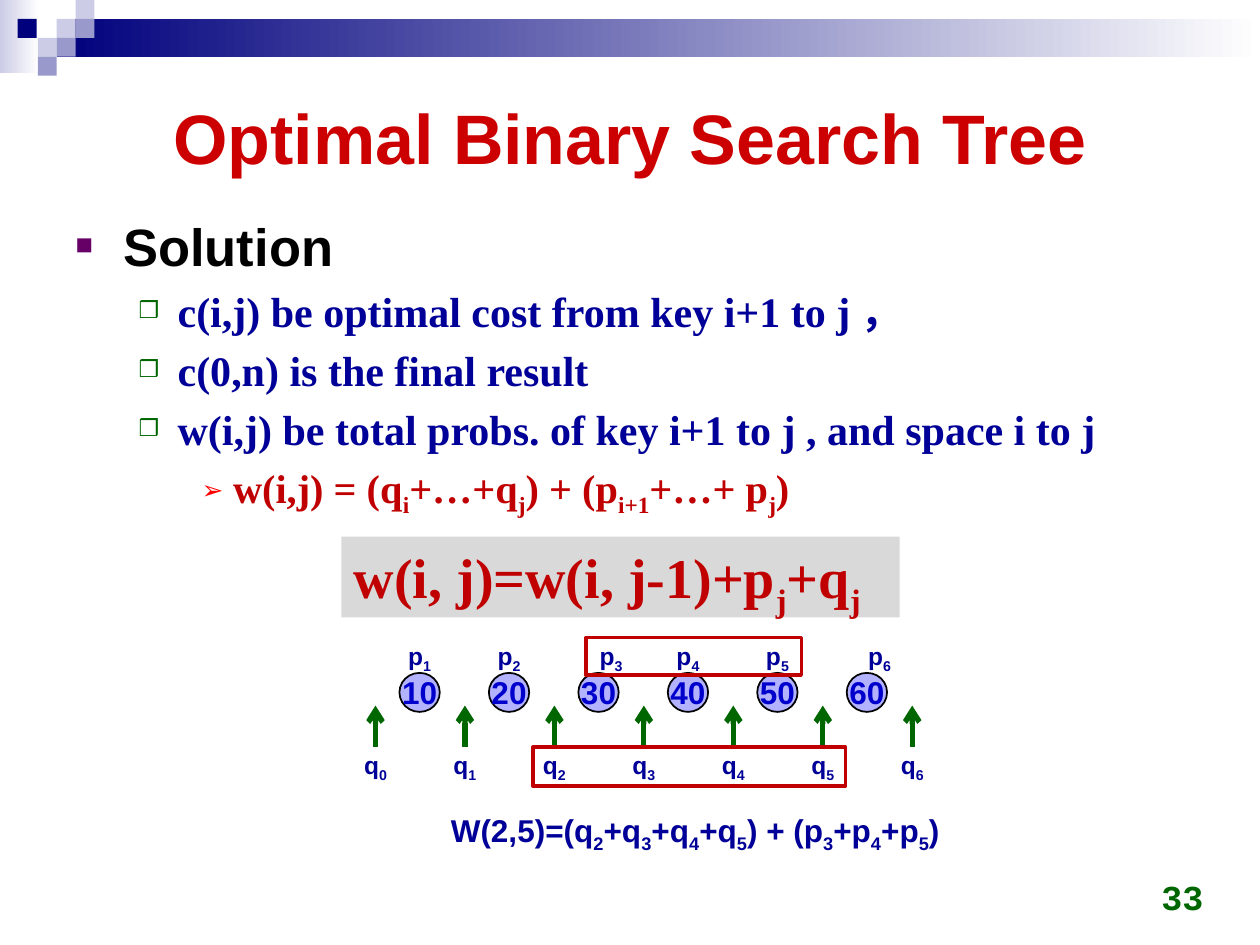
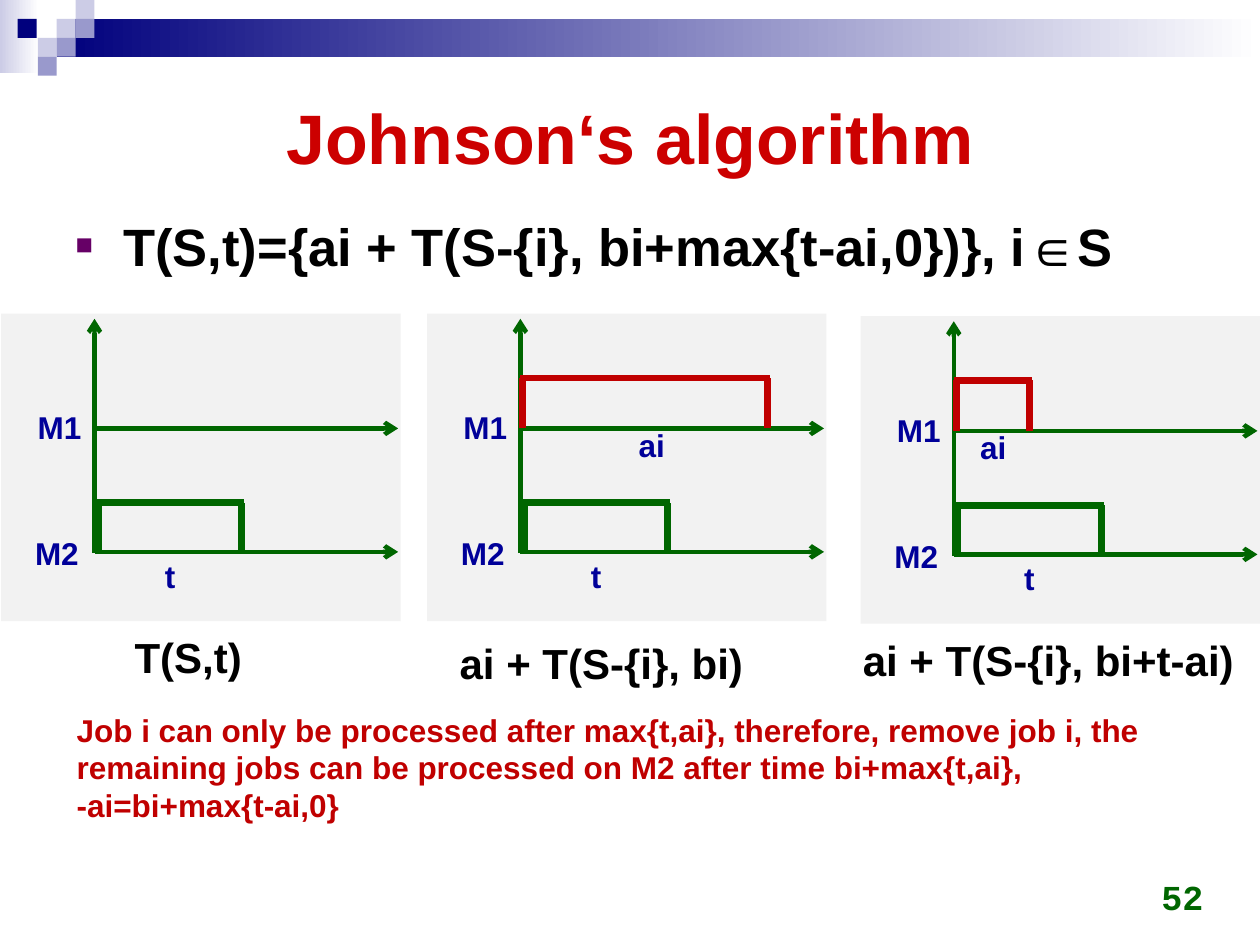
import itertools
from dataclasses import dataclass
from typing import Any

import lxml.etree
import pptx
import pptx.dml.color
import pptx.enum.shapes
import pptx.enum.text
import pptx.oxml.ns
import pptx.util

# Grid: 100 columns by 75 rows; every position and length below is in cells
WIDTH, HEIGHT = pptx.util.Inches(10), pptx.util.Inches(7.5)
COL, ROW = WIDTH / 100, HEIGHT / 75

COLORS = {
    "title": "CC0000", "accent": "C00000", "label": "000099", "text": "000000",
    "green": "006600", "navy": "00007D", "mid": "9999CC", "pale": "CCCCE6",
    "white": "FFFFFF", "node": "B2B2FF", "key": "0000CC", "purple": "660066",
    "red": "FF0000", "formula": "D9D9D9", "panel": "F2F2F2",
}
ALIGN = pptx.enum.text.PP_ALIGN
ANCHOR = pptx.enum.text.MSO_ANCHOR
SHAPE = pptx.enum.shapes.MSO_SHAPE
qn = pptx.oxml.ns.qn


@dataclass(frozen=True)
class Box:
    x: float
    y: float
    w: float
    h: float

    def emu(self) -> tuple[int, ...]:
        return (round(self.x * COL), round(self.y * ROW),
                round(self.w * COL), round(self.h * ROW))


@dataclass(frozen=True)
class TextStyle:
    size: float
    color: str
    name: str = "Arial"
    align: Any = ALIGN.LEFT


@dataclass(frozen=True)
class ListLevel:
    style: TextStyle
    margin: float
    hanging: float
    bullet: str
    bullet_color: str
    bullet_size: int


@dataclass(frozen=True)
class Panel:
    x: float
    y: float
    caption: str
    caption_x: float
    caption_y: float
    job_end: float = 0
    job_label_x: float = 0


TITLE = TextStyle(40, "title", align=ALIGN.CENTER)
PAGE = TextStyle(20, "green", "Courier New", ALIGN.RIGHT)
KEY = TextStyle(18, "key", align=ALIGN.CENTER)
WEIGHT = TextStyle(14, "label", align=ALIGN.CENTER)
LABEL = TextStyle(18, "label")
NOTE = TextStyle(18, "accent")
CAPTION = TextStyle(24, "text")
FORMULA = TextStyle(32, "accent", "Times New Roman")
LEVELS = [
    ListLevel(TextStyle(30, "text"), 3.8, 3.8, "■", "purple", 55),
    ListLevel(TextStyle(24, "label", "Times New Roman"), 8.1, 3.1, "❒", "green", 55),
    ListLevel(TextStyle(23, "accent", "Times New Roman"), 12.5, 2.5, "➢", "red", 65),
]
BAND_SQUARES = [
    (4.5, 1.5, "pale"), (6, 0, "pale"), (6, 1.5, "mid"), (3, 3, "pale"),
    (1.4, 1.5, "navy"), (4.5, 3, "mid"), (3, 4.5, "mid"),
]


def rgb(name: str) -> pptx.dml.color.RGBColor:
    return pptx.dml.color.RGBColor.from_string(COLORS[name])


def write(p: Any, text: str, style: TextStyle) -> None:
    """Fill a paragraph; parts between ~ marks are subscripts."""
    for i, part in enumerate(text.split("~")):
        r = p.add_run()
        r.text = part
        if i % 2:
            r._r.get_or_add_rPr().set("baseline", "-25000")
    p.alignment = style.align
    p.font.name = style.name
    p.font.size = pptx.util.Pt(style.size)
    p.font.bold = True
    p.font.color.rgb = rgb(style.color)


def add_shape(shapes: Any, box: Box, fill: str | None = None, line: str | None = None,
              weight: float = 1, kind: Any = SHAPE.RECTANGLE) -> Any:
    sp = shapes.add_shape(kind, *box.emu())
    sp.shadow.inherit = False
    if fill:
        sp.fill.solid()
        sp.fill.fore_color.rgb = rgb(fill)
    else:
        sp.fill.background()
    if line:
        sp.line.color.rgb = rgb(line)
        sp.line.width = pptx.util.Pt(weight)
    else:
        sp.line.fill.background()
    return sp


def add_gradient(shapes: Any, box: Box, start: str) -> None:
    sp = add_shape(shapes, box)
    sp.fill.gradient()
    sp.fill.gradient_angle = 0
    for stop, position, color in zip(sp.fill.gradient_stops, (0, 1), (start, "white")):
        stop.position = position
        stop.color.rgb = rgb(color)


def add_text(shapes: Any, box: Box, text: str, style: TextStyle, wrap: bool = False) -> Any:
    sp = shapes.add_textbox(*box.emu())
    tf = sp.text_frame
    tf.word_wrap = wrap
    tf.auto_size = pptx.enum.text.MSO_AUTO_SIZE.SHAPE_TO_FIT_TEXT
    write(tf.paragraphs[0], text, style)
    return sp


def add_line(shapes: Any, x1: float, y1: float, x2: float, y2: float,
             color: str, weight: float, arrow: bool = False) -> None:
    c = shapes.add_connector(
        pptx.enum.shapes.MSO_CONNECTOR.STRAIGHT,
        round(x1 * COL), round(y1 * ROW), round(x2 * COL), round(y2 * ROW))
    c.line.color.rgb = rgb(color)
    c.line.width = pptx.util.Pt(weight)
    sp_pr = c._element.spPr
    if arrow:
        lxml.etree.SubElement(sp_pr.find(qn("a:ln")), qn("a:tailEnd"), type="arrow")
    lxml.etree.SubElement(sp_pr, qn("a:effectLst"))


def add_item(p: Any, level: int, text: str) -> None:
    look = LEVELS[level]
    p.level = level
    p.line_spacing = 1.05
    p_pr = p._p.get_or_add_pPr()
    p_pr.set("marL", str(round(look.margin * COL)))
    p_pr.set("indent", str(round(-look.hanging * COL)))
    before = lxml.etree.SubElement(p_pr, qn("a:spcBef"))
    lxml.etree.SubElement(before, qn("a:spcPct"), val="15000")
    color = lxml.etree.SubElement(p_pr, qn("a:buClr"))
    lxml.etree.SubElement(color, qn("a:srgbClr"), val=COLORS[look.bullet_color])
    lxml.etree.SubElement(p_pr, qn("a:buSzPct"), val=str(look.bullet_size * 1000))
    lxml.etree.SubElement(p_pr, qn("a:buFont"), typeface="Arial")
    lxml.etree.SubElement(p_pr, qn("a:buChar"), char=look.bullet)
    write(p, text, look.style)


def place(sp: Any, box: Box, anchor: Any) -> Any:
    sp.left, sp.top, sp.width, sp.height = box.emu()
    tf = sp.text_frame
    tf.word_wrap = True
    tf.auto_size = pptx.enum.text.MSO_AUTO_SIZE.NONE
    tf.vertical_anchor = anchor
    return tf


def add_slide(prs: Any, title: str, items: list[tuple[int, str]], page: int) -> Any:
    s = prs.slides.add_slide(prs.slide_layouts[1])
    # Corner band
    band = s.shapes.add_group_shape().shapes
    add_gradient(band, Box(0, 0, 3.1, 5.8), "pale")
    add_gradient(band, Box(4.5, 1.5, 95.5, 3), "navy")
    for x, y, color in BAND_SQUARES:
        add_shape(band, Box(x, y, 1.5, 1.5), color)
    # Title and list
    tf = place(s.shapes.title, Box(5, 5, 90, 11.6), ANCHOR.MIDDLE)
    write(tf.paragraphs[0], title, TITLE)
    tf = place(s.placeholders[1], Box(5, 16.2, 90, 52), ANCHOR.TOP)
    for i, (level, text) in enumerate(items):
        add_item(tf.add_paragraph() if i else tf.paragraphs[0], level, text)
    # Page number
    box = Box(73.2, 68.3, 23.3, 5)
    place(add_text(s.shapes, box, str(page), PAGE), box, ANCHOR.BOTTOM)
    return s


def add_search_keys(s: Any) -> None:
    """Six keys in a row, with the gaps between them marked by arrows."""
    shapes = s.shapes.add_group_shape().shapes
    step, first_key, first_gap = 7.1, 33.3, 29.8
    for k in range(6):
        x = first_key + k * step
        sp = add_shape(shapes, Box(x - 1.6, 53.4, 3.2, 3.1), "node", "text", kind=SHAPE.OVAL)
        tf = sp.text_frame
        tf.word_wrap = False
        tf.margin_left = tf.margin_right = tf.margin_top = tf.margin_bottom = 0
        tf.vertical_anchor = ANCHOR.MIDDLE
        write(tf.paragraphs[0], str(10 * (k + 1)), KEY)
        shift = 1 if k % 3 == 2 else 0
        add_text(shapes, Box(x + shift - 1.95, 50.4, 3.9, 3.4), f"p~{k + 1}~", WEIGHT)
    for k in range(7):
        x = first_gap + k * step
        add_line(shapes, x, 59.3, x, 56, "green", 3, arrow=True)
        add_text(shapes, Box(x - 1.95, 59, 3.9, 3.4), f"q~{k}~", WEIGHT)


def add_bar(shapes: Any, left: float, right: float, top: float, base: float,
            color: str) -> None:
    """Open-bottomed bar that stands on a time axis."""
    half = 0.2
    add_line(shapes, left - half, top, right + half, top, color, 4)
    for x in (left, right):
        add_line(shapes, x, base, x, top, color, 4)


def add_panel(s: Any, panel: Panel) -> None:
    shapes = s.shapes.add_group_shape().shapes
    x, y = panel.x, panel.y
    axis, m1, m2 = x + 7.4, y + 9.1, y + 18.9
    add_shape(shapes, Box(x, y, 31.7, 24.4), "panel")
    # Machine axes
    for base in (m2, m1):
        add_line(shapes, axis, base, x + 31.5, base, "green", 2.5, arrow=True)
    add_bar(shapes, axis + 0.3, x + 19.1, m2 - 3.9, m2, "green")
    add_line(shapes, axis, m2 + 0.1, axis, y + 0.4, "green", 2.5, arrow=True)
    add_text(shapes, Box(x + 1.9, m1 - 2.1, 5.5, 4), "M1", LABEL)
    add_text(shapes, Box(x + 1.7, m2 - 1.9, 5.5, 4), "M2", LABEL)
    add_text(shapes, Box(x + 12, m2 - 0.1, 2.9, 4), "t", LABEL)
    # Job i on the first machine
    if panel.job_end:
        add_bar(shapes, axis + 0.2, x + panel.job_end, m1 - 4, m1, "accent")
        add_text(shapes, Box(x + panel.job_label_x, m1 - 0.7, 4.1, 4), "ai", LABEL)


def build_search_tree(prs: Any) -> None:
    s = add_slide(prs, "Optimal Binary Search Tree", [
        (0, "Solution"),
        (1, "c(i,j) be optimal cost from key i+1 to j ，"),
        (1, "c(0,n) is the final result"),
        (1, "w(i,j) be total probs. of key i+1 to j , and space i to j"),
        (2, "w(i,j) = (q~i~+…+q~j~) + (p~i+1~+…+ p~j~)"),
    ], 33)
    add_search_keys(s)
    # Worked sum and the terms it covers
    q_terms, p_terms = ("+".join(f"{name}~{k}~" for k in range(start, 6))
                        for name, start in (("q", 2), ("p", 3)))
    add_text(s.shapes, Box(34.8, 63.9, 42, 4), f"W(2,5)=({q_terms}) + ({p_terms})", LABEL)
    for box in (Box(42.3, 59.3, 24.8, 3.1), Box(46.5, 50.6, 17.1, 3)):
        add_shape(s.shapes, box, line="accent", weight=2)
    # Recurrence
    sp = add_text(s.shapes, Box(27.1, 42.6, 44.3, 6.4), "w(i, j)=w(i, j-1)+p~j~+q~j~",
                  FORMULA, wrap=True)
    sp.fill.solid()
    sp.fill.fore_color.rgb = rgb("formula")


def build_johnson(prs: Any) -> None:
    s = add_slide(prs, "Johnson‘s algorithm",
                  [(0, "T(S,t)={ai + T(S-{i}, bi+max{t-ai,0})}, i∈S")], 52)
    add_text(s.shapes, Box(5.1, 55.9, 91.3, 10.1),
             "Job i can only be processed after max{t,ai}, therefore, remove job i, the "
             "remaining jobs can be processed on M2 after time bi+max{t,ai}, "
             "-ai=bi+max{t-ai,0}", NOTE, wrap=True)
    panels = [
        Panel(0.1, 24.9, "T(S,t)", 9.7, 49.6),
        Panel(33.9, 24.9, "ai + T(S-{i}, bi)", 35.5, 50.1, 27, 15.8),
        Panel(68.3, 25.1, "ai + T(S-{i}, bi+t-ai)", 67.5, 49.9, 13.4, 8.5),
    ]
    for panel, width in zip(panels, (10.6, 24.7, 31.7)):
        add_panel(s, panel)
        add_text(s.shapes, Box(panel.caption_x, panel.caption_y, width, 5),
                 panel.caption, CAPTION)


def main() -> None:
    prs = pptx.Presentation()
    prs.slide_width, prs.slide_height = WIDTH, HEIGHT
    build_search_tree(prs)
    build_johnson(prs)
    prs.save("out.pptx")


if __name__ == "__main__":
    main()
